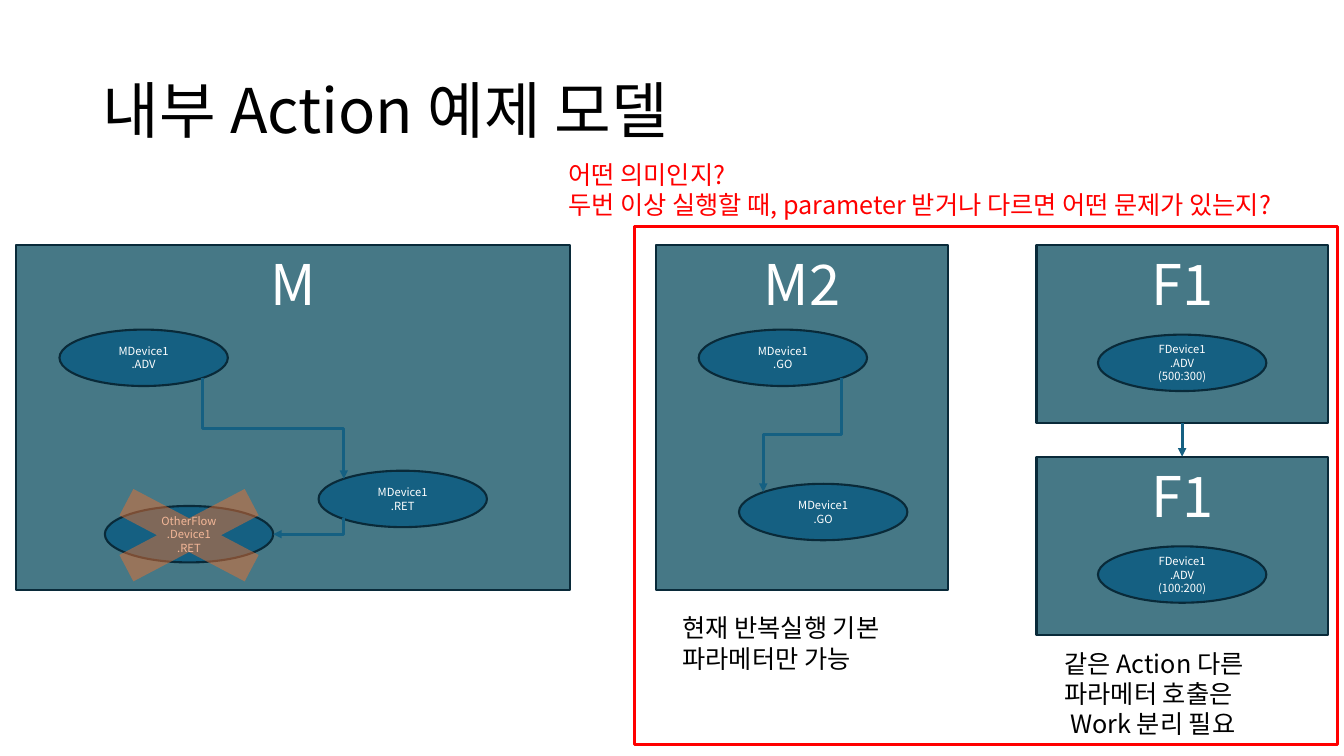
from copy import deepcopy

from lxml.etree import SubElement
from pptx import Presentation
from pptx.dml.color import RGBColor
from pptx.enum.shapes import MSO_CONNECTOR as Connector, MSO_SHAPE as Shape
from pptx.enum.text import MSO_ANCHOR as Anchor, MSO_AUTO_SIZE as AutoSize, PP_ALIGN as Align
from pptx.oxml.ns import qn
from pptx.util import Emu, Pt

PX = 9144  # 100 px to the inch
FONT = "Noto Sans CJK KR"
BLACK = RGBColor(0x00, 0x00, 0x00)
WHITE = RGBColor(0xFF, 0xFF, 0xFF)
RED = RGBColor(0xFF, 0x00, 0x00)
TEAL = RGBColor(0x46, 0x78, 0x86)
BLUE = RGBColor(0x15, 0x60, 0x82)
NAVY = RGBColor(0x09, 0x2A, 0x39)
ORANGE = RGBColor(0xE9, 0x71, 0x32)

OVAL_WIDTH, OVAL_HEIGHT = 167, 56
PANEL_TOP = 243


def px(*lengths):
    return [Emu(round(length * PX)) for length in lengths]


def set_values(target, values):
    for name, value in values.items():
        setattr(target, name, value)


def write(frame, paragraphs, size, color, align=Align.LEFT):
    """Fill a text frame; a newline inside a paragraph is a line break."""
    for index, text in enumerate(paragraphs):
        paragraph = frame.paragraphs[0] if index == 0 else frame.add_paragraph()
        paragraph.text = text
        paragraph.alignment = align
        for run in paragraph.runs:
            set_values(run.font, {"size": Pt(size), "name": FONT, "bold": False})
            run.font.color.rgb = color
            properties = run._r.get_or_add_rPr()
            SubElement(properties, qn("a:ea")).set("typeface", FONT)
        for line_break in paragraph._p.findall(qn("a:br")):
            line_break.append(deepcopy(properties))


def add_shape(slide, kind, box, fill=None, line=None, line_width=1.5):
    shape = slide.shapes.add_shape(kind, *px(*box))
    shape.shadow.inherit = False
    for part, color in ((shape.fill, fill), (shape.line.fill, line)):
        if color is None:
            part.background()
        else:
            part.solid()
            part.fore_color.rgb = color
    if line is not None:
        shape.line.width = Pt(line_width)
    return shape


def add_panel(slide, box, heading):
    panel = add_shape(slide, Shape.RECTANGLE, box, TEAL, NAVY)
    panel.text_frame.vertical_anchor = Anchor.TOP
    write(panel.text_frame, [heading], 40, WHITE, Align.CENTER)


def add_oval(slide, left, top, paragraphs):
    box = (left, top, OVAL_WIDTH, OVAL_HEIGHT)
    oval = add_shape(slide, Shape.OVAL, box, BLUE, NAVY)
    oval.text_frame.vertical_anchor = Anchor.MIDDLE
    write(oval.text_frame, paragraphs, 8, WHITE, Align.CENTER)


def add_arrow(slide, kind, points):
    arrow = slide.shapes.add_connector(kind, *px(*points))
    arrow.line.color.rgb = BLUE
    arrow.line.width = Pt(2)
    SubElement(arrow.line._get_or_add_ln(), qn("a:tailEnd")).set("type", "triangle")
    SubElement(arrow._element.spPr, qn("a:effectLst"))
    return arrow


def add_elbow(slide, start, end, preset="bentConnector3"):
    """Elbow arrow that leaves downwards: a horizontal one turned about its centre."""
    (x1, y1), (x2, y2) = start, end
    center_x, center_y = (x1 + x2) / 2, (y1 + y2) / 2
    to_right = x2 > x1
    half_width = (y1 - y2 if to_right else y2 - y1) / 2
    half_height = abs(x2 - x1) / 2
    arrow = add_arrow(slide, Connector.ELBOW, (
        center_x - half_width, center_y - half_height,
        center_x + half_width, center_y + half_height))
    properties = arrow._element.spPr
    properties.find(qn("a:xfrm")).set("rot", str((270 if to_right else 90) * 60000))
    properties.find(qn("a:prstGeom")).set("prst", preset)


def add_note(slide, box, lines, color):
    frame = slide.shapes.add_textbox(*px(*box)).text_frame
    set_values(frame, {"word_wrap": False, "auto_size": AutoSize.SHAPE_TO_FIT_TEXT})
    write(frame, lines, 18, color)


def build_title(slide, box):
    title = slide.shapes.title
    set_values(title, dict(zip(("left", "top", "width", "height"), px(*box))))
    set_values(title.text_frame, {
        "vertical_anchor": Anchor.MIDDLE, "auto_size": AutoSize.NONE, "word_wrap": True})
    write(title.text_frame, ["내부 Action 예제 모델"], 44, BLACK)
    title.text_frame.paragraphs[0].line_spacing = 0.9


def build_flow_m(slide, box):
    left, top = box[:2]
    add_panel(slide, box, "M")
    add_oval(slide, left + 43, top + 84, ["MDevice1\n.ADV"])
    add_oval(slide, left + 300, top + 224, ["MDevice1\n.RET"])
    add_elbow(slide, (left + 185, top + 132), (left + 325, top + 232))
    add_oval(slide, left + 88, top + 259, ["OtherFlow", ".Device1\n.RET"])
    add_elbow(slide, (left + 325, top + 271), (left + 255, top + 287), "bentConnector2")
    # Half-transparent cross over the last device
    cross = add_shape(slide, Shape.MATH_MULTIPLY, (left + 52, top + 225, 239, 126), ORANGE)
    color = cross._element.spPr.find(qn("a:solidFill"))[0]
    SubElement(color, qn("a:alpha")).set("val", "50000")


def build_flow_m2(slide, box):
    left, top = box[:2]
    add_panel(slide, box, "M2")
    for x, y in ((42, 84), (82, 237)):
        add_oval(slide, left + x, top + y, ["MDevice1\n.GO"])
    add_elbow(slide, (left + 184, top + 132), (left + 106, top + 245))
    add_note(slide, (left + 16, top + 360, 249, 71),
             ["현재 반복실행 기본", "파라메터만 가능"], BLACK)


def build_flow_f1(slide, box):
    left, top, width, height = box
    panel_height, step = 177, 210
    for index, values in enumerate(("(500:300)", "(100:200)")):
        panel_top = top + index * step
        add_panel(slide, (left, panel_top, width, panel_height), "F1")
        add_oval(slide, left + 61, panel_top + 89, ["FDevice1\n.ADV", values])
    middle = left + width / 2
    add_arrow(slide, Connector.STRAIGHT, (middle, top + panel_height, middle, top + step))
    add_note(slide, (left + 18, top + height + 8, 221, 101),
             ["같은 Action 다른", "파라메터 호출은", " Work 분리 필요"], BLACK)


def main():
    presentation = Presentation()
    presentation.slide_width, presentation.slide_height = px(1333, 750)
    slide = presentation.slides.add_slide(presentation.slide_layouts[5])

    # Red frame around the flows in question, and the heading
    add_shape(slide, Shape.RECTANGLE, (629, 225, 698, 514), line=RED, line_width=2.25)
    build_title(slide, (92, 40, 1150, 145))

    # Flows from left to right
    build_flow_m(slide, (16, PANEL_TOP, 549, 342))
    build_flow_m2(slide, (651, PANEL_TOP, 289, 342))
    build_flow_f1(slide, (1028, PANEL_TOP, 289, 387))

    # Open questions
    add_note(slide, (554, 153, 790, 71), [
        "어떤 의미인지?",
        "두번 이상 실행할 때, parameter 받거나 다르면 어떤 문제가 있는지?"], RED)
    presentation.save("out.pptx")


if __name__ == "__main__":
    main()
